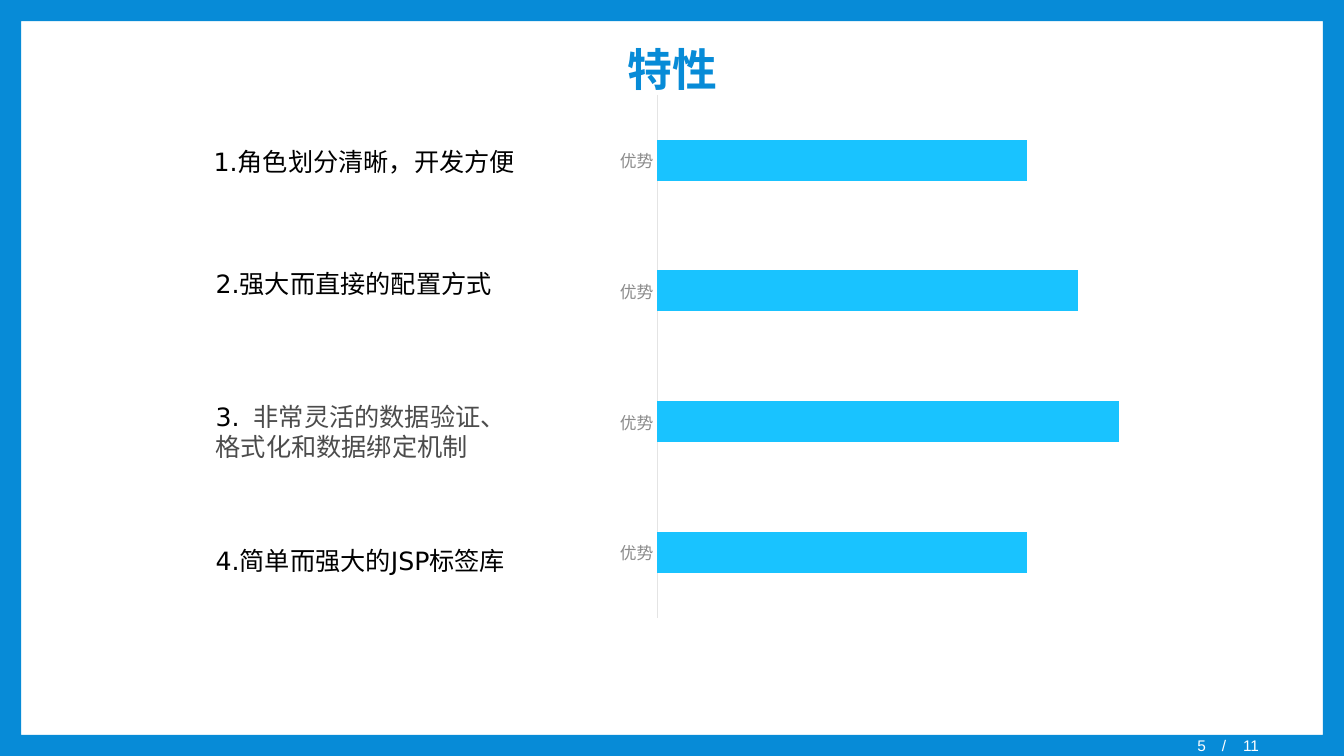
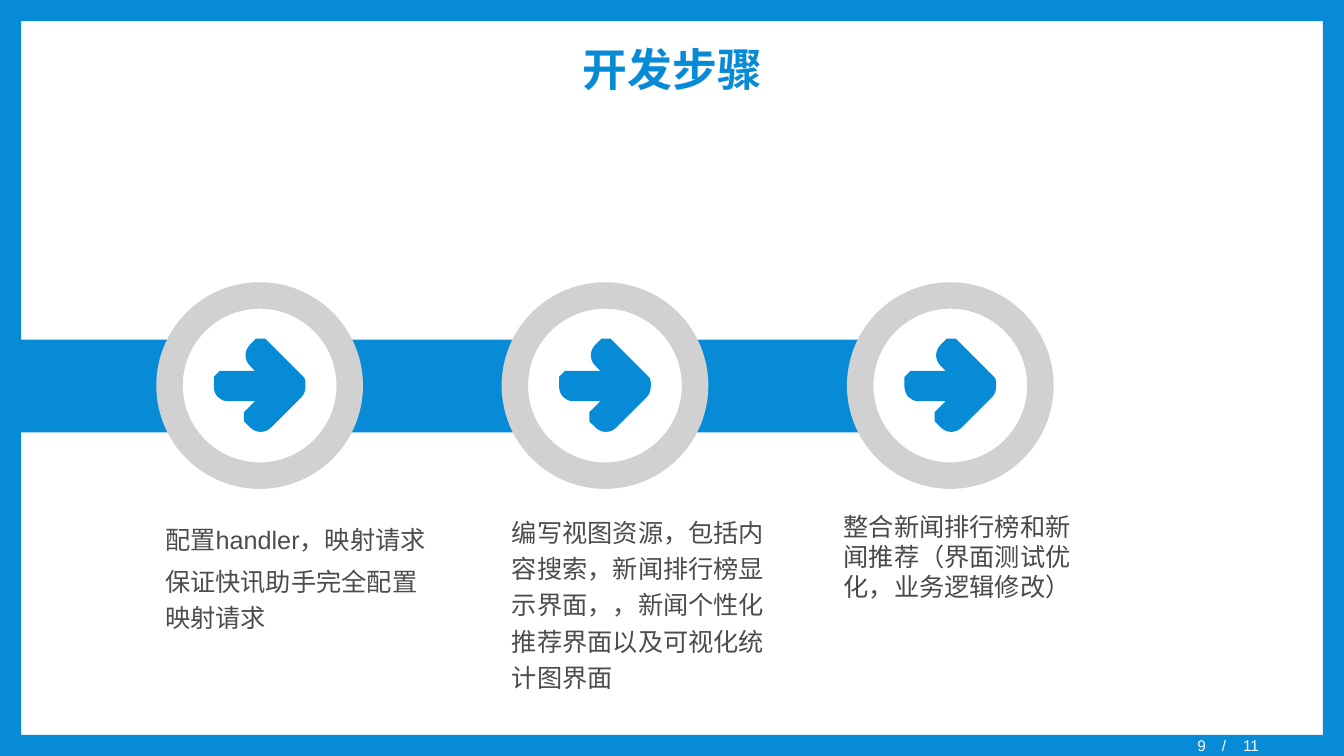
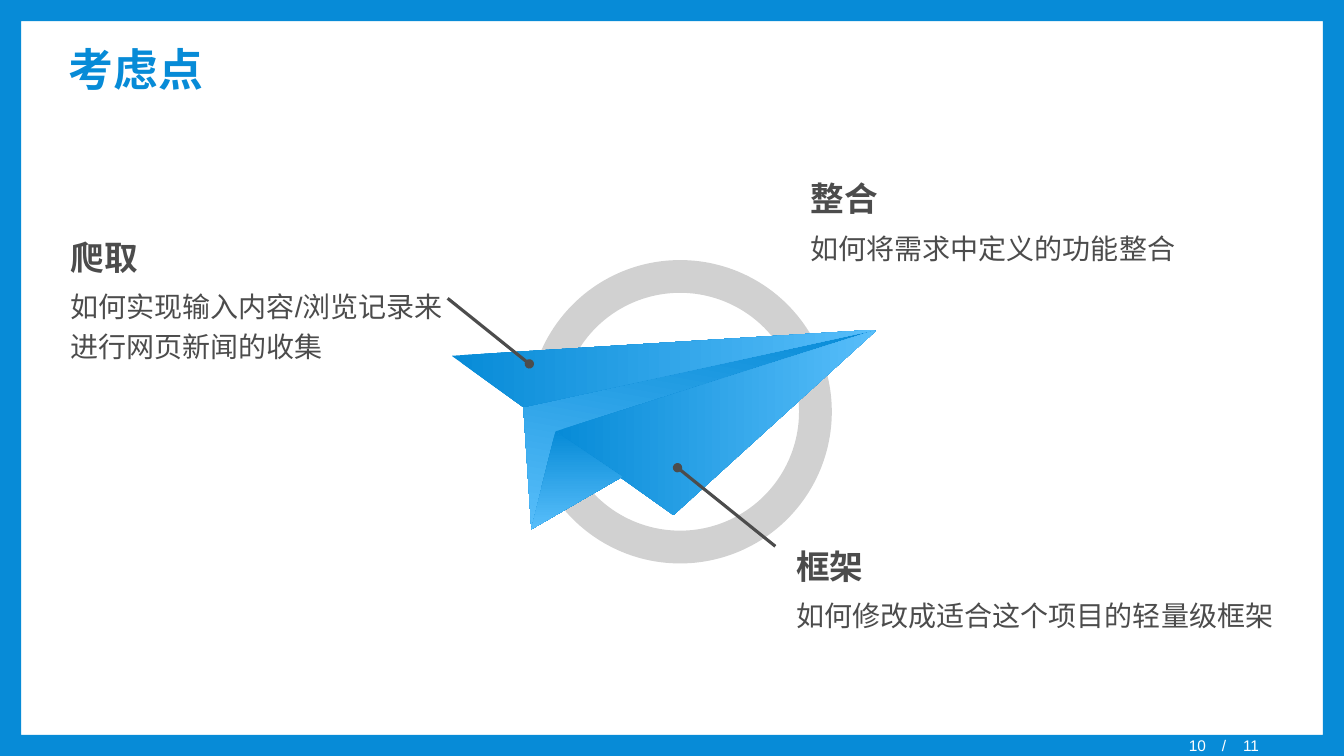
"""Build three framed slides: features, development steps and considerations."""
from dataclasses import dataclass

from lxml import etree
from pptx import Presentation
from pptx import util as u
from pptx.chart import data
from pptx.dml.color import RGBColor
from pptx.enum import chart, shapes, text
from pptx.oxml import ns

Inches = u.Inches
Kind = shapes.MSO_SHAPE
Align = text.PP_ALIGN
Anchor = text.MSO_ANCHOR


@dataclass(frozen=True)
class Theme:
    """Colours, fonts and type sizes shared by the slides."""
    blue: str = "078BD7"
    sky: str = "58BEFA"
    bar: str = "19C3FF"
    ring: str = "D1D1D1"
    rule: str = "E4E4E4"
    label: str = "8B8B8B"
    ink: str = "4C4C4C"
    note: str = "494949"
    black: str = "000000"
    white: str = "FFFFFF"
    font: str = "Arial"
    mono: str = "DejaVu Sans"
    title: int = 32
    head: int = 24
    lead: int = 20
    body: int = 18
    tick: int = 12
    foot: int = 11


T = Theme()


def rgb(code):
    """Turn a hex code into a colour."""
    return RGBColor.from_string(code)


def style(font, size, color=T.ink, bold=False, name=T.font):
    """Set size, colour, weight and face of a font."""
    font.size, font.bold, font.name = u.Pt(size), bold, name
    font.color.rgb = rgb(color)


def write(slide, box, lines, size=T.body, color=T.ink, bold=False, name=T.font,
          align=Align.LEFT, anchor=Anchor.TOP, loose=False):
    """Add a wrapped text box and return its paragraphs."""
    frame = slide.shapes.add_textbox(*map(Inches, box)).text_frame
    frame.word_wrap = True
    frame.vertical_anchor = anchor
    if anchor == Anchor.MIDDLE:
        frame.margin_top = frame.margin_bottom = 0
    for i, line in enumerate(lines):
        para = frame.add_paragraph() if i else frame.paragraphs[0]
        para.text, para.alignment = line, align
        style(para.font, size, color, bold, name)
        if loose:
            para.line_spacing = 1.2
            para.space_before = para.space_after = u.Pt(2)
    return frame.paragraphs


def plain(shape, color):
    """Give a shape a flat fill without line or shadow."""
    shape.shadow.inherit = False
    shape.line.fill.background()
    shape.fill.solid()
    shape.fill.fore_color.rgb = rgb(color)


def draw(group, kind, box, color, adjust=None):
    """Add a flat preset shape."""
    shape = group.add_shape(kind, *map(Inches, box))
    if adjust is not None:
        shape.adjustments[0] = adjust
    plain(shape, color)


def trace(group, points, color=T.blue):
    """Add a closed flat outline through points."""
    spots = [(Inches(x), Inches(y)) for x, y in points]
    pen = group.build_freeform(*spots[0], scale=1.0)
    pen.add_line_segments(spots[1:], close=True)
    shape = pen.convert_to_shape()
    plain(shape, color)
    return shape


def fold(group, points, angle):
    """Add a paper fold shaded from blue to sky at a clockwise angle."""
    fill = trace(group, points).fill
    fill.gradient()
    fill.gradient_angle = (360 - angle) % 360
    for stop, color in zip(fill.gradient_stops, (T.blue, T.sky)):
        stop.color.rgb = rgb(color)


def lead(slide, start, end):
    """Add a leader line that ends in a dot."""
    line = slide.shapes.add_connector(
        shapes.MSO_CONNECTOR.STRAIGHT, *map(Inches, start + end))
    line.line.color.rgb = rgb(T.ink)
    line.line.width = u.Pt(2.25)
    props = line.element.spPr
    tail = etree.SubElement(props.find(ns.qn("a:ln")), ns.qn("a:tailEnd"))
    tail.set("type", "oval")
    etree.SubElement(props, ns.qn("a:effectLst"))


def tab(para, width):
    """Give a paragraph one left tab stop."""
    stops = etree.Element(ns.qn("a:tabLst"))
    etree.SubElement(stops, ns.qn("a:tab"), pos=str(Inches(width)), algn="l")
    para.font
    default = next(para.runs[0]._r.getparent().iter(ns.qn("a:defRPr")))
    default.addprevious(stops)


def page(deck, title, number, align=Align.CENTER):
    """Add a slide with frame, title and page number."""
    slide = deck.slides.add_slide(deck.slide_layouts[6])
    draw(slide.shapes, Kind.FRAME, (0, 0, 13.33, 7.5), T.blue, 0.028)
    write(slide, (0.58, 0.29, 12.18, 0.79), [title], T.title, T.blue, True,
          align=align, anchor=Anchor.MIDDLE)
    total = write(slide, (12.02, 7.3, 1.31, 0.18), ["/\t11"], T.foot, T.white,
                  anchor=Anchor.MIDDLE)
    tab(total[0], 0.21)
    write(slide, (9.47, 7.3, 2.59, 0.18), [str(number)], T.foot, T.white,
          align=Align.RIGHT, anchor=Anchor.MIDDLE)
    return slide


def place(plot, **parts):
    """Fix the inner plot area as fractions of the chart."""
    for old in plot.findall(ns.qn("c:layout")):
        plot.remove(old)
    layout = etree.Element(ns.qn("c:layout"))
    manual = etree.SubElement(layout, ns.qn("c:manualLayout"))
    values = dict(layoutTarget="inner", xMode="edge", yMode="edge", **parts)
    for key, value in values.items():
        etree.SubElement(manual, ns.qn("c:" + key)).set("val", str(value))
    plot.insert(0, layout)


def bars(slide, box, names, values):
    """Add a horizontal bar chart with bare axes."""
    source = data.CategoryChartData()
    source.categories = names
    source.add_series("Series 1", values)
    graph = slide.shapes.add_chart(chart.XL_CHART_TYPE.BAR_CLUSTERED,
                                   *map(Inches, box), source).chart
    graph.has_legend = graph.has_title = False
    style(graph.font, T.tick, T.label)
    plot = graph.plots[0]
    plot.gap_width, plot.vary_by_categories = 219, False
    fill = plot.series[0].format.fill
    fill.solid()
    fill.fore_color.rgb = rgb(T.bar)
    axis = graph.category_axis
    axis.major_tick_mark = chart.XL_TICK_MARK.NONE
    axis.format.line.color.rgb = rgb(T.rule)
    axis.format.line.width = u.Pt(0.75)
    scale = graph.value_axis
    scale.minimum_scale, scale.maximum_scale = 0, 110
    scale.has_major_gridlines = scale.visible = False
    wide, high = box[2:]
    place(graph.element.find(".//" + ns.qn("c:plotArea")),
          x=0.48 / wide, y=0.1 / high, w=5.04 / wide, h=5.19 / high)


def bend(shape, first, count):
    """Turn runs of three line segments into cubic curves."""
    lines = list(shape.element.iter(ns.qn("a:lnTo")))
    for start in first:
        for i in range(start, start + 3 * count, 3):
            trio = lines[i:i + 3]
            cubic = etree.Element(ns.qn("a:cubicBezTo"))
            trio[0].addprevious(cubic)
            for line in trio:
                cubic.append(line[0])
                line.getparent().remove(line)


def arrow(group, left, top):
    """Draw a rounded arrow by mirroring its lower half."""
    mid = 0.45
    half = [(0.91, mid), (0.91, 0.49), (0.9, 0.53), (0.87, 0.56),
            (0.57, 0.86), (0.51, 0.92), (0.42, 0.92), (0.36, 0.86),
            (0.3, 0.8), (0.3, 0.71), (0.36, 0.65), (0.41, 0.6),
            (0.14, 0.6), (0.06, 0.6), (0, 0.54), (0, mid)]
    whole = half + [(x, 2 * mid - y) for x, y in half[-2::-1]]
    shape = trace(group, [(left + x, top + y) for x, y in whole])
    bend(shape, (0, 4, 12, 20), 1)
    return shape


def traits(deck):
    """Build the features slide."""
    slide = page(deck, "特性", 5)
    bars(slide, (6.04, 0.84, 5.7, 5.4), ["优势"] * 4, (80, 100, 91, 80))
    for box, lines in (
            ((2.02, 1.4, 3.31, 0.4), ["1.角色划分清晰，开发方便"]),
            ((2.04, 2.61, 2.98, 0.4), ["2.强大而直接的配置方式"]),
            ((2.04, 5.36, 3.16, 0.4), ["4.简单而强大的JSP标签库"])):
        write(slide, box, lines, color=T.black, name=T.mono)
    first, last = write(slide, (2.04, 3.93, 3.12, 0.71),
                        ["3.", "格式化和数据绑定机制"],
                        color=T.black, name=T.mono)
    run = first.add_run()
    run.text = "  非常灵活的数据验证、"
    for font in (run.font, last.font):
        style(font, T.body)


def steps(deck):
    """Build the development steps slide."""
    slide = page(deck, "开发步骤", 9)
    group = slide.shapes
    for i in reversed(range(3)):
        shift = i * 6.85 / 2
        draw(group, Kind.RECTANGLE, (0.02 + shift, 3.37, 1.71, 0.92), T.blue)
        draw(group, Kind.DONUT, (1.55 + shift, 2.8, 2.05, 2.05), T.ring, 0.128)
        arrow(group, 2.12 + shift, 3.38)
    write(slide, (1.54, 5.09, 2.86, 1.22),
          ["配置handler，映射请求", "保证快讯助手完全配置映射请求"], loose=True)
    write(slide, (4.98, 5.02, 2.86, 1.89),
          ["编写视图资源，包括内容搜索，新闻排行榜显示界面，，"
           "新闻个性化推荐界面以及可视化统计图界面"], loose=True)
    write(slide, (8.27, 5.02, 2.59, 1.01),
          ["整合新闻排行榜和新闻推荐（界面测试优化，业务逻辑修改）"],
          color=T.note)


def points(deck):
    """Build the considerations slide."""
    slide = page(deck, "考虑点", 10, Align.LEFT)
    plane = slide.shapes.add_group_shape().shapes
    draw(plane, Kind.DONUT, (5.24, 2.58, 3.01, 3.01), T.ring, 0.108)
    nose, wing, keel, crease = (8.7, 3.27), (5.19, 4.04), (5.27, 5.25), (5.51, 4.28)
    for outline, angle in (((wing, keel, nose), 100),
                           ((crease, (6.68, 5.11), nose), 0),
                           (((4.48, 3.53), wing, nose), 0),
                           ((keel, crease, (6.17, 4.73)), 90)):
        fold(plane, outline, angle)
    for box, head, body in (
            ((0.6, 2.22, 3.99, 1.41), "爬取", "如何实现输入内容/浏览记录来进行网页新闻的收集"),
            ((7.94, 1.64, 4.83, 1.01), "整合", "如何将需求中定义的功能整合"),
            ((7.8, 5.29, 4.95, 1.01), "框架", "如何修改成适合这个项目的轻量级框架")):
        first, last = write(slide, box, [head, body], T.head, bold=True, loose=True)
        style(last.font, T.lead)
    lead(slide, (4.44, 2.96), (5.25, 3.61))
    lead(slide, (7.69, 5.42), (6.72, 4.64))


def main():
    """Build and save the deck."""
    deck = Presentation()
    deck.slide_width, deck.slide_height = Inches(13.33), Inches(7.5)
    for build in (traits, steps, points):
        build(deck)
    deck.save("out.pptx")


if __name__ == "__main__":
    main()
